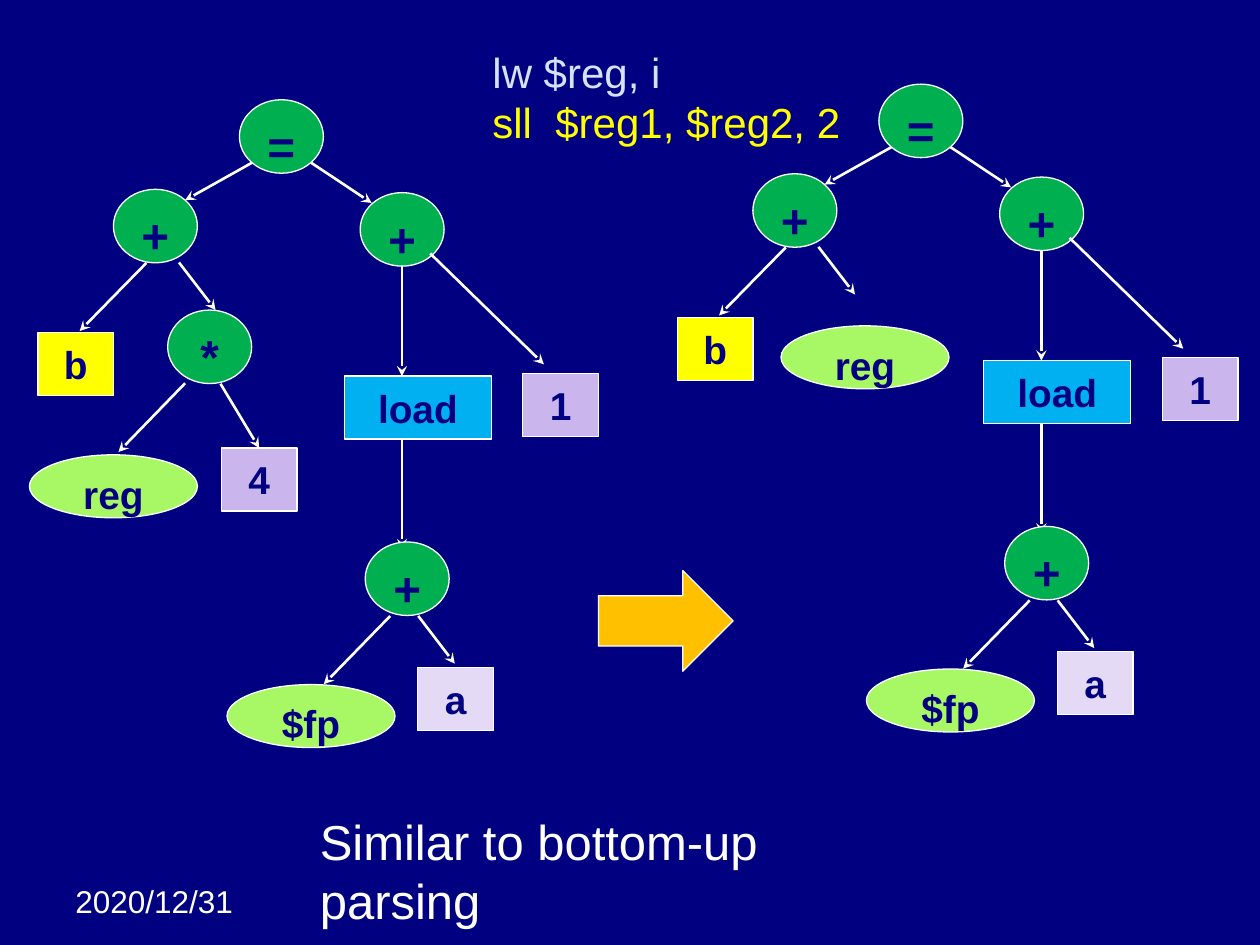
from dataclasses import dataclass

from lxml import etree
from pptx import Presentation
from pptx.dml.color import RGBColor
from pptx.enum.shapes import MSO_CONNECTOR, MSO_SHAPE
from pptx.enum.text import MSO_ANCHOR, PP_ALIGN
from pptx.oxml.ns import qn
from pptx.util import Pt

OVAL, RECT, ARROW = MSO_SHAPE.OVAL, MSO_SHAPE.RECTANGLE, MSO_SHAPE.RIGHT_ARROW
STRAIGHT = MSO_CONNECTOR.STRAIGHT
TOP, MIDDLE = MSO_ANCHOR.TOP, MSO_ANCHOR.MIDDLE
CENTER = PP_ALIGN.CENTER
TOP_SITE = 0


@dataclass(frozen=True)
class Theme:
    font: str = "Arial"
    navy: str = "000080"
    white: str = "FFFFFF"
    pale_blue: str = "D6E0FF"
    yellow: str = "FFFF00"
    green: str = "00B050"
    lime: str = "A7F864"
    sky: str = "00B0F0"
    lilac: str = "CAB5EC"
    pale_lilac: str = "E5DAF6"
    amber: str = "FFC000"
    op_size: float = 27.2
    leaf_size: float = 22.2
    caption_size: float = 28
    code_size: float = 24
    date_size: float = 18
    outline: float = 0.75
    edge: float = 1.5


T = Theme()

# Node kinds: shape, width, height, fill, type size
KINDS = {
    "op": (OVAL, 48, 42, T.green, T.op_size),
    "reg": (OVAL, 96, 36, T.lime, T.leaf_size),
    "load": (RECT, 84, 36, T.sky, T.leaf_size),
    "var": (RECT, 43.2, 36, T.yellow, T.leaf_size),
    "const": (RECT, 43.2, 36, T.lilac, T.leaf_size),
    "offset": (RECT, 43.2, 36, T.pale_lilac, T.leaf_size),
}

# Parts both trees share; nodes are (kind, label, left, top)
UPPER_NODES = [
    ("op", "+", 64.8, 108.2),
    ("op", "+", 205.8, 110.1),
    ("op", "=", 136.8, 57),
]
EDGES = [
    ((144, 93), (105.8, 114.4)),
    ((177.8, 93), (212.4, 116)),
    ((102.3, 150), (123.2, 177.2)),
    ((83.6, 150.3), (45.5, 189.2)),
    ((229.7, 152), (229.7, 215)),
    ((229.7, 250.8), (229.7, 313.8)),
    ((223, 352), (185, 391)),
    ((239, 352), (259.9, 379.3)),
    ((245.8, 144.8), (310.8, 208.2)),
]
LOWER_NODES = [
    ("var", "b", 21.7, 190.2),
    ("load", "load", 196.8, 214.9),
    ("op", "+", 208.7, 309.7),
    ("offset", "a", 238.8, 381.4),
    ("const", "1", 298.8, 213.4),
    ("reg", "$fp", 129.7, 391.2),
]
REDUCED_SHIFT = (365.4, -8.9)


class Deck:
    def __init__(self, prs, theme):
        self.theme = theme
        self.s = prs.slides.add_slide(prs.slide_layouts[6])
        fill = self.s.background.fill
        fill.solid()
        fill.fore_color.rgb = RGBColor.from_string(theme.navy)

    def style(self, p, size, color, bold=False):
        p.font.name = self.theme.font
        p.font.size = Pt(size)
        p.font.bold = bold
        p.font.color.rgb = RGBColor.from_string(color)

    def text(self, text, x, y, w, h, size, color):
        tf = self.s.shapes.add_textbox(Pt(x), Pt(y), Pt(w), Pt(h)).text_frame
        tf.word_wrap = False
        tf.text = text
        self.style(tf.paragraphs[0], size, color)

    def shape(self, kind, x, y, w, h, fill):
        sp = self.s.shapes.add_shape(kind, Pt(x), Pt(y), Pt(w), Pt(h))
        sp.shadow.inherit = False
        sp.fill.solid()
        sp.fill.fore_color.rgb = RGBColor.from_string(fill)
        sp.line.color.rgb = RGBColor.from_string(self.theme.white)
        sp.line.width = Pt(self.theme.outline)
        return sp

    def node(self, kind, label, x, y):
        outline, w, h, fill, size = KINDS[kind]
        sp = self.shape(outline, x, y, w, h, fill)
        tf = sp.text_frame
        tf.word_wrap = True
        tf.vertical_anchor = TOP if outline == OVAL else MIDDLE
        tf.text = label
        p = tf.paragraphs[0]
        p.alignment = CENTER
        p.space_before = Pt(2)
        self.style(p, size, self.theme.navy, bold=True)
        return sp

    def edge(self, start, end):
        c = self.s.shapes.add_connector(STRAIGHT, *map(Pt, start + end))
        c.line.color.rgb = RGBColor.from_string(self.theme.white)
        c.line.width = Pt(self.theme.edge)
        etree.SubElement(c.line._get_or_add_ln(), qn("a:tailEnd"), type="stealth")
        etree.SubElement(c._element.spPr, qn("a:effectLst"))
        return c

    def tree(self, dx=0, dy=0):
        for kind, label, x, y in UPPER_NODES:
            self.node(kind, label, x + dx, y + dy)
        for (x1, y1), (x2, y2) in EDGES:
            self.edge((x1 + dx, y1 + dy), (x2 + dx, y2 + dy))
        for kind, label, x, y in LOWER_NODES:
            self.node(kind, label, x + dx, y + dy)


def main():
    prs = Presentation()
    prs.slide_width, prs.slide_height = Pt(720), Pt(540)
    deck = Deck(prs, T)

    # Date
    deck.text("2020/12/31", 36, 500.4, 113.8, 28.8, T.date_size, T.white)

    # Tree before the reduction, with its multiply subtree
    deck.tree()
    deck.node("op", "*", 95.8, 177.2)
    four = deck.node("const", "4", 126.5, 256)
    deck.edge((105.8, 219), (67.7, 258.3))
    deck.edge((126, 219.3), (148.1, 256)).end_connect(four, TOP_SITE)
    deck.node("reg", "reg", 16.8, 259.9)

    # Tree after the reduction: the subtree is now one register
    deck.tree(*REDUCED_SHIFT)
    deck.node("reg", "reg", 446.3, 186.2)

    # Step arrow and caption
    deck.shape(ARROW, 342, 326, 77, 57.6, T.amber)
    deck.text("Similar to bottom-up parsing", 175.7, 460.1, 363.6, 41,
              T.caption_size, T.white)

    # Emitted instructions
    deck.text("lw $reg, i", 274.3, 23, 116.6, 36, T.code_size, T.pale_blue)
    deck.text("sll  $reg1, $reg2, 2", 274.3, 51.8, 213.1, 36, T.code_size, T.yellow)

    prs.save("out.pptx")


if __name__ == "__main__":
    main()
